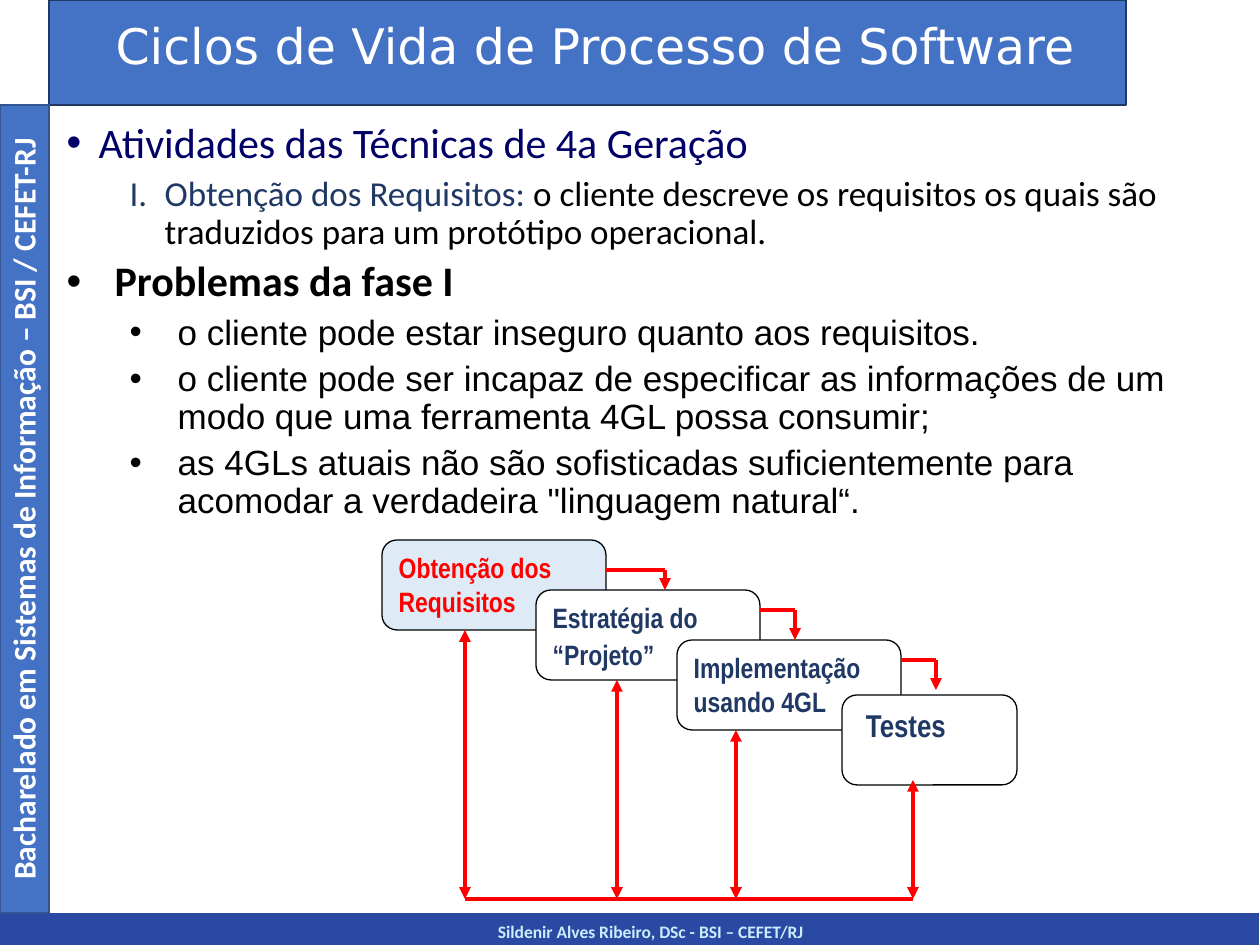
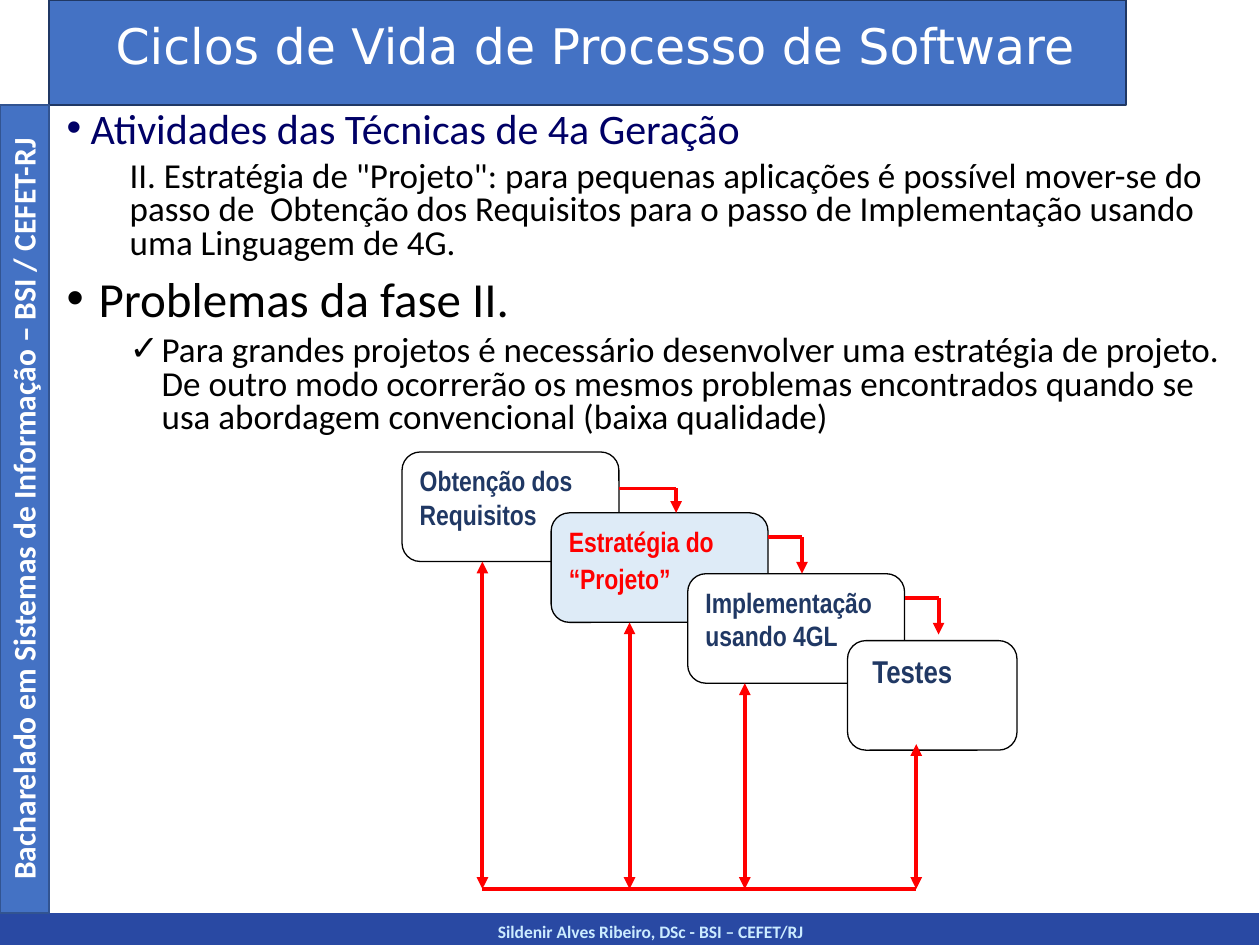
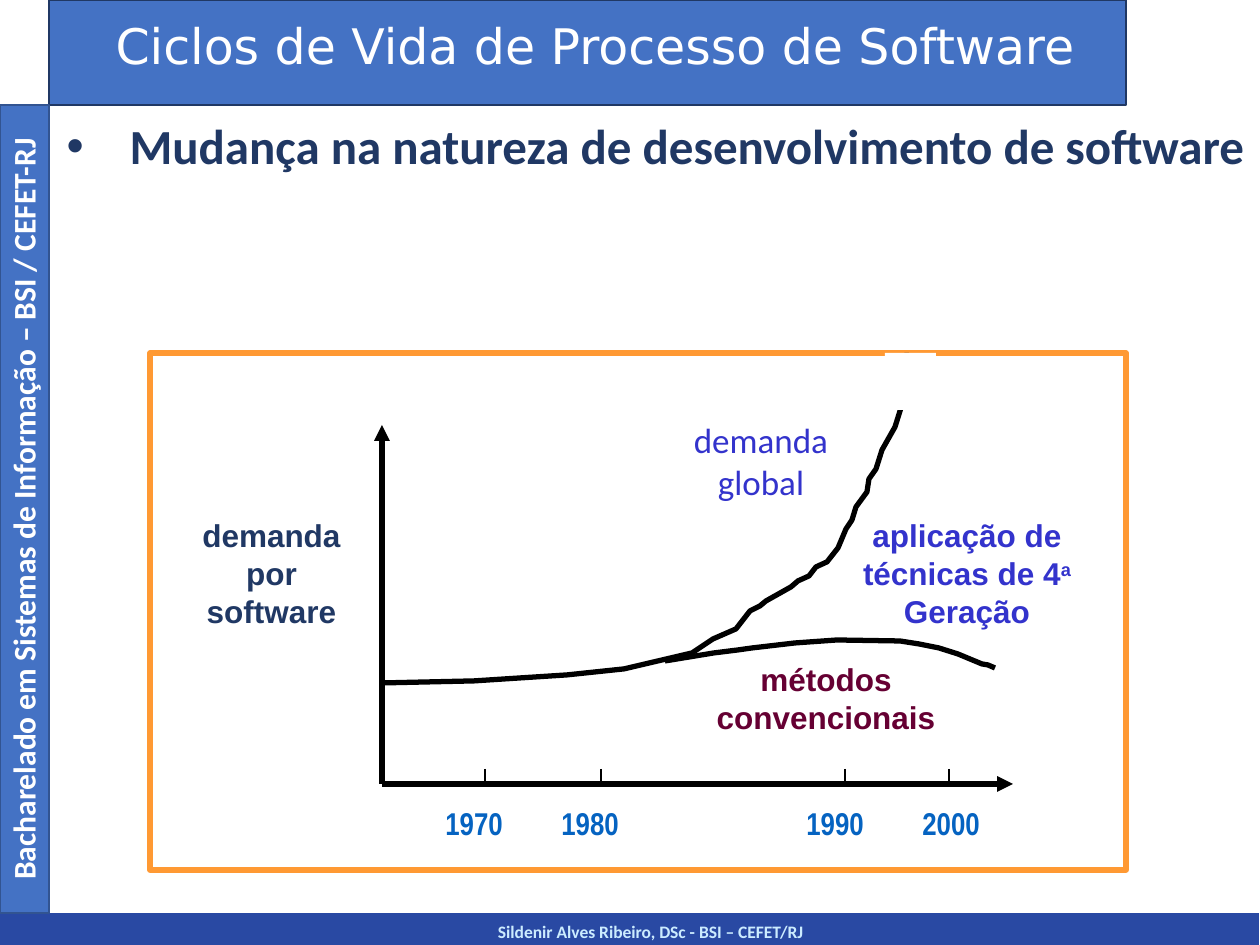
from lxml.etree import SubElement
from pptx import Presentation
from pptx.dml.color import RGBColor
from pptx.enum.shapes import MSO_CONNECTOR as Connector, MSO_SHAPE as Preset
from pptx.enum.text import MSO_ANCHOR as Anchor, MSO_AUTO_SIZE as AutoSize, PP_ALIGN as Align
from pptx.oxml.ns import qn
from pptx.util import Emu, Pt

PX = 914400 / 126

WHITE = RGBColor(0xFF, 0xFF, 0xFF)
BLACK = RGBColor(0x00, 0x00, 0x00)
BLUE = RGBColor(0x44, 0x72, 0xC4)
FOOTER_BLUE = RGBColor(0x29, 0x49, 0xA3)
FOOTER_TEXT = RGBColor(0xCC, 0xEC, 0xFF)
NAVY = RGBColor(0x20, 0x38, 0x64)
SIDE_EDGE = RGBColor(0x32, 0x54, 0x91)
HEADING = RGBColor(0x00, 0x00, 0x66)
RED = RGBColor(0xFF, 0x00, 0x00)
PALE_BLUE = RGBColor(0xDE, 0xEB, 0xF7)
ORANGE = RGBColor(0xFF, 0x99, 0x33)
VIOLET = RGBColor(0x33, 0x33, 0xCC)
WINE = RGBColor(0x66, 0x00, 0x33)
YEAR_BLUE = RGBColor(0x05, 0x63, 0xC1)

TITLE = "Ciclos de Vida de Processo de Software"
COURSE = "Bacharelado em Sistemas de Informação – BSI / CEFET-RJ"
AUTHOR = "Sildenir Alves Ribeiro, DSc - BSI – CEFET/RJ"
ROMAN = "I."

STAGES = [
    (0, 0, 224, [("Obtenção dos Requisitos", 16)]),
    (154, 50, 224, [("Estratégia do “Projeto”", 16), (" ", 18)]),
    (295, 100, 224, [("Implementação usando 4GL", 16)]),
    (460, 155, 175, [(" Testes", 18)]),
]
STAGE_HEIGHT = 90
CASCADE_SIZE = (635, 359)
STEPS = [(224, 283, 30, 50), (378, 413, 70, 100), (519, 554, 120, 150)]
FEEDBACK = [(83, 90), (235, 140), (354, 190), (531, 240)]

DEMAND_CURVE = [
    (232, 330), (324, 328), (417, 322), (474, 316), (542, 300), (563, 286), (586, 276),
    (600, 258), (610, 253), (616, 248), (641, 234), (648, 228), (659, 223), (666, 214),
    (677, 209), (688, 195), (696, 176), (702, 167), (706, 154), (717, 139), (719, 126),
    (726, 116), (732, 97), (745, 74), (756, 39), (757, 0),
]
CONVENTIONAL_CURVE = [
    (515, 308), (564, 300), (588, 297), (602, 295), (645, 290), (687, 287), (750, 288),
    (769, 291), (789, 295), (808, 301), (832, 311), (838, 312), (845, 315),
]
YEARS = [("1970", 335, 283), ("1980", 451, 399), ("1990", 695, 644), ("2000", 799, 760)]


def px(length):
    """Turn pixels into EMU."""
    return Emu(round(length * PX))


def write(para, text, size, colour, font="Calibri", bold=False, raised=False):
    """Add one formatted run to a paragraph."""
    span = para.add_run()
    span.text = text
    span.font.size = Pt(size)
    span.font.name = font
    span.font.bold = bold
    span.font.color.rgb = colour
    if raised:
        span.font._element.set("baseline", "30000")


def add_box(page, box, fill, edge=None, width=1, preset=Preset.RECTANGLE):
    """Draw a filled preset shape ready for top-left text."""
    shape = page.shapes.add_shape(preset, *map(px, box))
    shape.shadow.inherit = False
    shape.fill.solid()
    shape.fill.fore_color.rgb = fill
    if edge is None:
        shape.line.fill.background()
    else:
        shape.line.color.rgb = edge
        shape.line.width = Pt(width)
    shape.text_frame.vertical_anchor = Anchor.TOP
    shape.text_frame.paragraphs[0].alignment = Align.LEFT
    return shape


def add_caption(page, box, text, size, colour):
    """Add a centred bold text box."""
    caption = page.shapes.add_textbox(*map(px, box))
    caption.text_frame.word_wrap = True
    para = caption.text_frame.paragraphs[0]
    para.alignment = Align.CENTER
    write(para, text, size, colour, bold=True)
    return caption


def add_line(page, start, end, colour, width, head=False, tail=False):
    """Draw a straight line with optional arrowheads."""
    line = page.shapes.add_connector(Connector.STRAIGHT, *map(px, (*start, *end)))
    line.line.color.rgb = colour
    line.line.width = Pt(width)
    stroke = line.line._get_or_add_ln()
    for tag, wanted in (("a:headEnd", head), ("a:tailEnd", tail)):
        if wanted:
            SubElement(stroke, qn(tag), type="triangle")
    SubElement(line.element.spPr, qn("a:effectLst"))


def add_curve(page, origin, points):
    """Draw an open black curve through points relative to the origin."""
    builder = page.shapes.build_freeform(*points[0], scale=PX)
    builder.add_line_segments(points[1:], close=False)
    curve = builder.convert_to_shape(*map(px, origin))
    curve.shadow.inherit = False
    curve.fill.background()
    curve.line.color.rgb = BLACK
    curve.line.width = Pt(3)


def furnish_layout(page):
    """Draw the bands and captions and hand them to the page's layout."""
    side_caption = add_box(page, (0, 105, 49, 808), BLUE, SIDE_EDGE), add_caption(
        page, (-381, 484, 808, 50), COURSE, 18, WHITE)
    side_caption[1].rotation = 270
    parts = [
        add_box(page, (0, 913, 1259, 32), FOOTER_BLUE),
        add_caption(page, (64, 915, 1173, 31), AUTHOR, 10, FOOTER_TEXT),
        add_box(page, (49, 0, 1077, 105), BLUE, NAVY),
        *side_caption,
    ]
    for number, part in enumerate(parts, 20):
        part.element.nvSpPr.cNvPr.id = number
        page.slide_layout.shapes.element.append(part.element)


def place(holder, box):
    """Move a placeholder to a box and fix its text behaviour."""
    holder.left, holder.top, holder.width, holder.height = map(px, box)
    frame = holder.text_frame
    frame.word_wrap = True
    frame.auto_size = AutoSize.NONE
    frame.vertical_anchor = Anchor.TOP
    return frame


def fill_title(page):
    """Fill the title placeholder on the top band."""
    para = place(page.shapes.title, (53, 16, 1084, 79)).paragraphs[0]
    para.alignment = Align.CENTER
    para.line_spacing = 0.9
    write(para, TITLE, 28, WHITE, "DejaVu Sans")


def fill_list(page, box, items, spacing):
    """Fill the body placeholder with (level, left, hang, before, bullet, runs) items."""
    frame = place(page.placeholders[1], box)
    for index, (level, left, hang, before, bullet, runs) in enumerate(items):
        para = frame.add_paragraph() if index else frame.paragraphs[0]
        para.level = level
        para.alignment = Align.LEFT
        para.line_spacing = spacing
        para.space_before = Pt(before)
        props = para._p.get_or_add_pPr()
        props.set("marL", str(px(left)))
        props.set("indent", str(px(-hang)))
        if bullet == ROMAN:
            SubElement(props, qn("a:buFont"), typeface="+mj-lt")
            SubElement(props, qn("a:buAutoNum"), type="romanUcPeriod")
        elif bullet:
            SubElement(props, qn("a:buFont"), typeface="Arial")
            SubElement(props, qn("a:buChar"), char=bullet)
        else:
            SubElement(props, qn("a:buNone"))
        for run in runs:
            write(para, *run)


def draw_cascade(page, box, current):
    """Draw the four stages in a box, with the current one highlighted."""
    left, top, width, height = box
    across, down = width / CASCADE_SIZE[0], height / CASCADE_SIZE[1]

    def at(x, y):
        return left + x * across, top + y * down

    def arrow(start, end, **ends):
        add_line(page, at(*start), at(*end), RED, 2.25, **ends)

    for index, (x, y, stage_width, runs) in enumerate(STAGES):
        active = index == current
        stage = add_box(page, (*at(x, y), stage_width * across, STAGE_HEIGHT * down),
                        PALE_BLUE if active else WHITE, BLACK, 0.75, Preset.ROUNDED_RECTANGLE)
        for text, size in runs:
            write(stage.text_frame.paragraphs[0], text, size,
                  RED if active else NAVY, "Arial Narrow", True)
    for exit_x, turn_x, exit_y, tip_y in STEPS:
        arrow((exit_x, exit_y), (turn_x, exit_y))
        arrow((turn_x, exit_y), (turn_x, tip_y), tail=True)
    base = CASCADE_SIZE[1]
    arrow((FEEDBACK[0][0], base), (FEEDBACK[-1][0], base))
    for x, y in FEEDBACK:
        arrow((x, y), (x, base), head=True, tail=True)


def draw_demand_plot(page, box):
    """Draw the framed sketch of software demand over the years."""
    left, top, width, height = box

    def at(x, y):
        return left + x, top + y

    def label(x, y, w, h, runs, size, colour, font="Arial", bold=True, align=Align.CENTER):
        shape = add_box(page, (*at(x, y), w, h), WHITE)
        para = shape.text_frame.paragraphs[0]
        para.alignment = align
        for text, raised in runs:
            write(para, text, size, colour, font, bold, raised)

    add_box(page, box, WHITE, ORANGE, 3)
    label(554, 301, 244, 101, [("métodos convencionais", False)], 18, WINE)
    label(695, 157, 244, 144, [("aplicação de técnicas de 4", False), ("a", True),
                               (" Geração", False)], 18, VIOLET)
    label(489, 59, 244, 101, [("demanda global", False)], 20, VIOLET, "Calibri", False)
    label(23, 157, 197, 126, [("demanda por software", False)], 18, NAVY)
    add_line(page, at(232, 72), at(232, 431), BLACK, 3, head=True)
    add_line(page, at(232, 431), at(863, 431), BLACK, 3, tail=True)
    for year, tick, year_left in YEARS:
        add_line(page, at(tick, 416), at(tick, 431), BLACK, 0.75)
        label(year_left, 445, 116, 57, [(year, False)], 18, YEAR_BLUE,
              "Arial Narrow", align=Align.LEFT)
    for curve in (CONVENTIONAL_CURVE, DEMAND_CURVE):
        add_curve(page, (left, top), curve)
    add_box(page, (*at(735, 0), 51, 57), WHITE)


def build_requirements(page):
    """Build the page on the first phase."""
    fill_title(page)
    problems = [
        "o cliente pode estar inseguro quanto aos requisitos.",
        "o cliente pode ser incapaz de especificar as informações de um modo que uma "
        "ferramenta 4GL possa consumir;",
        "as 4GLs atuais não são sofisticadas suficientemente para acomodar a verdadeira "
        "\"linguagem natural“.",
    ]
    items = [
        (0, 32, 32, 10, "•", [("Atividades das Técnicas de 4a Geração", 24, HEADING)]),
        (1, 98, 35, 5, ROMAN, [
            ("Obtenção dos Requisitos: ", 20, NAVY),
            ("o cliente descreve os requisitos os quais são traduzidos para um protótipo "
             "operacional.", 20, BLACK)]),
        (1, 48, 48, 5, "•", [("Problemas da fase I", 24, BLACK, "Calibri", True)]),
    ]
    items += [(2, 111, 48, 5, "•", [(text, 20, BLACK, "Arial")]) for text in problems]
    fill_list(page, (54, 116, 1149, 600), items, 0.9)
    draw_cascade(page, (382, 540, 635, 359), current=0)


def build_strategy(page):
    """Build the page on the second phase."""
    fill_title(page)
    fill_list(page, (54, 106, 1191, 367), [
        (1, 24, 24, 5, "•", [("Atividades das Técnicas de 4a Geração", 24, HEADING)]),
        (1, 63, 0, 5, None, [
            ("II. Estratégia de \"Projeto\": para pequenas aplicações é possível mover-se do "
             "passo de  Obtenção dos Requisitos para o passo de Implementação usando uma "
             "Linguagem de 4G.", 20, BLACK)]),
        (0, 32, 32, 10, "•", [("Problemas da fase II.", 28, BLACK)]),
        (1, 95, 32, 5, "✓", [
            ("Para grandes projetos é necessário desenvolver uma estratégia de projeto. De "
             "outro modo ocorrerão os mesmos problemas encontrados quando se usa abordagem "
             "convencional (baixa qualidade)", 20, BLACK)]),
    ], 0.8)
    draw_cascade(page, (402, 452, 615, 437), current=1)


def build_demand(page):
    """Build the page on the changing demand for software."""
    fill_title(page)
    fill_list(page, (54, 116, 1206, 115), [
        (0, 63, 63, 0, "•", [("Mudança na natureza de desenvolvimento de software", 28, NAVY,
                              "Calibri", True)]),
    ], 0.9)
    draw_demand_plot(page, (150, 353, 976, 517))


def main():
    """Build and save the deck."""
    deck = Presentation()
    deck.slide_width, deck.slide_height = px(1260), px(945)
    layout = deck.slide_layouts[1]
    for index, build in enumerate((build_requirements, build_strategy, build_demand)):
        page = deck.slides.add_slide(layout)
        if index == 0:
            furnish_layout(page)
        build(page)
    deck.save("out.pptx")


if __name__ == "__main__":
    main()
